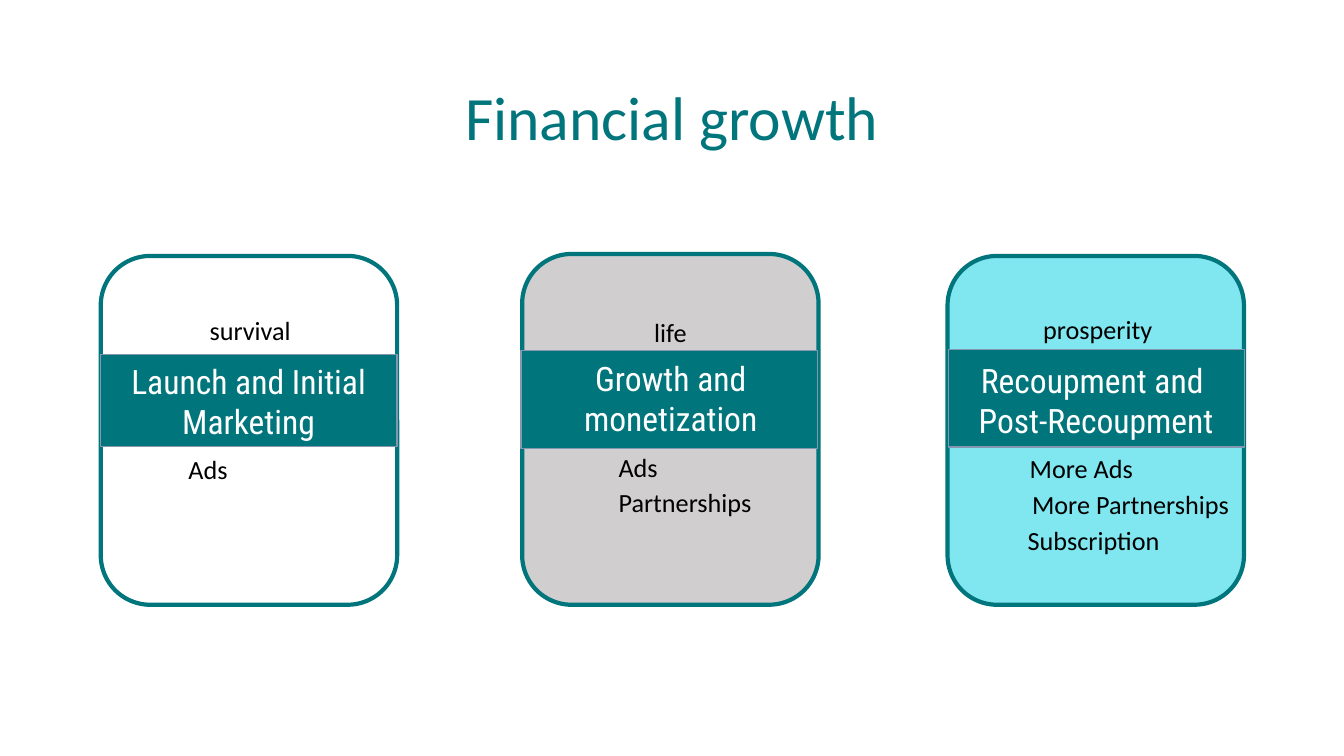
from pptx import Presentation
from pptx.dml.color import RGBColor
from pptx.enum.shapes import MSO_SHAPE
from pptx.enum.text import MSO_ANCHOR, MSO_AUTO_SIZE, PP_ALIGN
from pptx.util import Cm, Pt

TEAL = RGBColor(0x01, 0x75, 0x7C)
AQUA = RGBColor(0x80, 0xE6, 0xEF)
GREY = RGBColor(0xD0, 0xCE, 0xCE)
SLATE = RGBColor(0x84, 0x97, 0xB0)
WHITE = RGBColor(0xFF, 0xFF, 0xFF)
BLACK = RGBColor(0x00, 0x00, 0x00)

TITLE = {"name": "Calibri", "size": Pt(44)}
HEADING = {"name": "Roboto Condensed", "size": Pt(24)}
BODY = {"name": "Calibri", "size": Pt(18.7)}

STAGE_WIDTH = 7.47
ITEM_WIDTH = 4.65

STAGES = [
    {"card": (2.54, 6.45, 8.79), "fill": WHITE,
     "band": (2.54, 8.94, 2.31),
     "outcome": ("survival", 2.57, 7.8),
     "heading": (["Launch and Initial Marketing"], 2.9, 8.97),
     "incomes": [("Ads", 4.5, 11.3, ITEM_WIDTH)]},
    {"card": (13.16, 6.4, 8.84), "fill": GREY,
     "band": (13.13, 8.84, 2.46),
     "outcome": ("life", 13.16, 7.85),
     "heading": (["Growth and monetization"], 13.54, 8.89),
     "incomes": [("Ads", 15.34, 11.25, ITEM_WIDTH),
                 ("Partnerships", 15.34, 12.12, ITEM_WIDTH)]},
    {"card": (23.88, 6.45, 8.79), "fill": AQUA,
     "band": (23.9, 8.81, 2.46),
     "outcome": ("prosperity", 23.93, 7.77),
     "heading": (["Recoupment and ", "Post-Recoupment"], 24.26, 8.94),
     "incomes": [("More Ads", 25.7, 11.28, ITEM_WIDTH),
                 ("More Partnerships", 25.76, 12.17, 5.56),
                 ("Subscription", 25.65, 13.08, ITEM_WIDTH)]},
]


def add_panel(slide, preset, place, fill, outline, weight):
    """Draw a filled, outlined panel as wide as a stage."""
    left, top, height = place
    panel = slide.shapes.add_shape(
        preset, Cm(left), Cm(top), Cm(STAGE_WIDTH), Cm(height))
    panel.shadow.inherit = False
    panel.fill.solid()
    panel.fill.fore_color.rgb = fill
    panel.line.color.rgb = outline
    panel.line.width = Pt(weight)


def add_label(slide, lines, place, style, colour, align=PP_ALIGN.CENTER):
    """Write lines of text in a wrapping box and return its text frame."""
    label = slide.shapes.add_textbox(*map(Cm, place)).text_frame
    label.word_wrap = True
    label.auto_size = MSO_AUTO_SIZE.SHAPE_TO_FIT_TEXT
    label.text = "\n".join(lines)
    for paragraph in label.paragraphs:
        paragraph.alignment = align
        for run in paragraph.runs:
            for attribute, value in style.items():
                setattr(run.font, attribute, value)
            run.font.color.rgb = colour
    return label


def add_title(slide, wording):
    """Write the slide title across the full width."""
    title = add_label(slide, [wording], (0, 2.03, 33.87, 1.96), TITLE, TEAL)
    title.auto_size = MSO_AUTO_SIZE.NONE
    title.vertical_anchor = MSO_ANCHOR.BOTTOM
    title.paragraphs[0].line_spacing = 0.9


def add_stage(slide, stage):
    """Draw one growth stage with its outcome, heading and incomes."""
    add_panel(slide, MSO_SHAPE.ROUNDED_RECTANGLE, stage["card"],
              stage["fill"], TEAL, 3)
    outcome, left, top = stage["outcome"]
    add_label(slide, [outcome], (left, top, STAGE_WIDTH, 1.07), BODY, BLACK)
    for income, left, top, width in stage["incomes"]:
        add_label(slide, [income], (left, top, width, 1.07),
                  BODY, BLACK, PP_ALIGN.LEFT)
    add_panel(slide, MSO_SHAPE.RECTANGLE, stage["band"], TEAL, SLATE, 1)
    heading, left, top = stage["heading"]
    add_label(slide, heading, (left, top, 6.73, 2.31), HEADING, WHITE)


def main():
    """Build the financial growth slide and save it."""
    deck = Presentation()
    deck.slide_width, deck.slide_height = Cm(33.87), Cm(19.05)
    slide = deck.slides.add_slide(deck.slide_layouts[6])
    add_title(slide, "Financial growth")
    for stage in STAGES:
        add_stage(slide, stage)
    deck.save("out.pptx")


if __name__ == "__main__":
    main()
